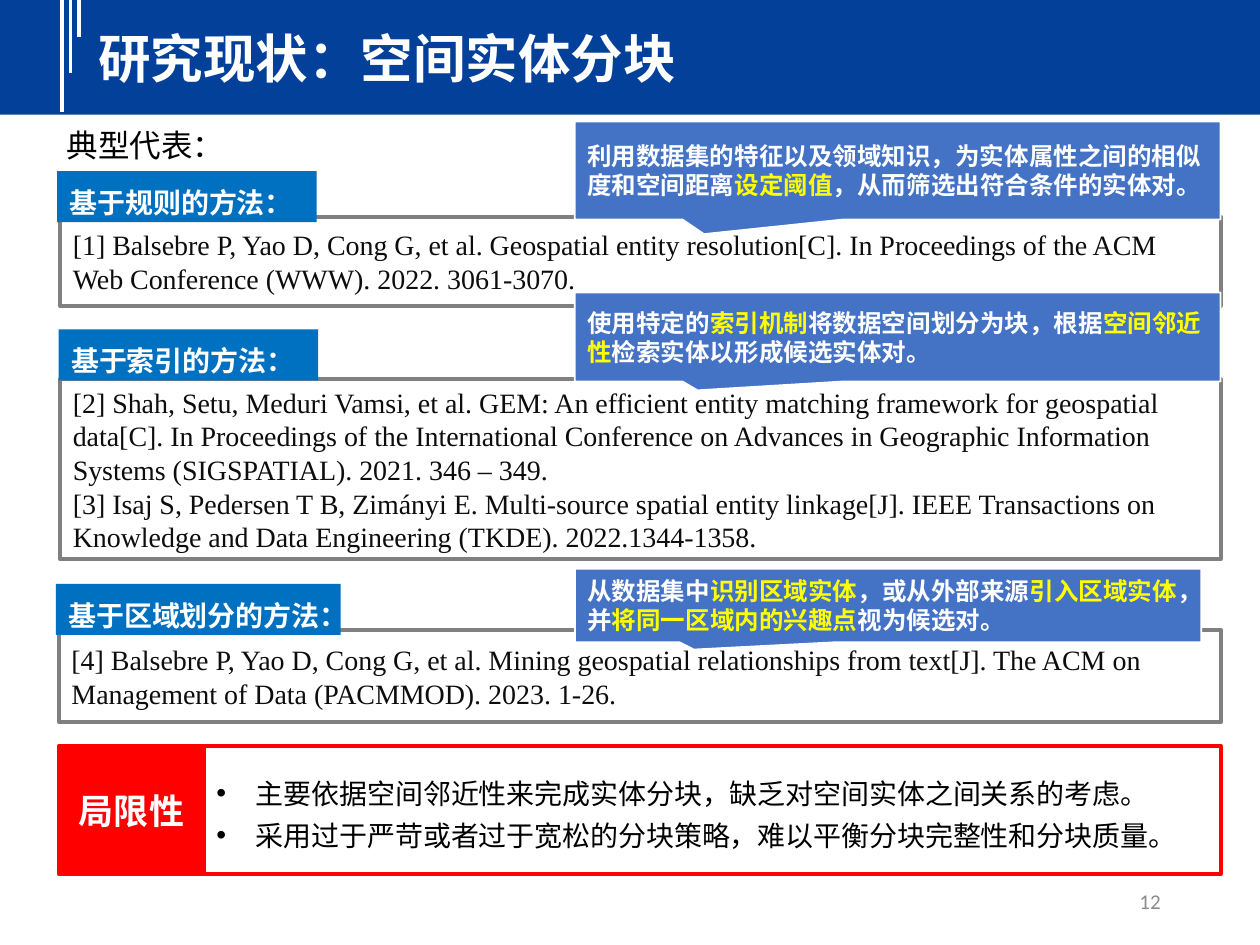
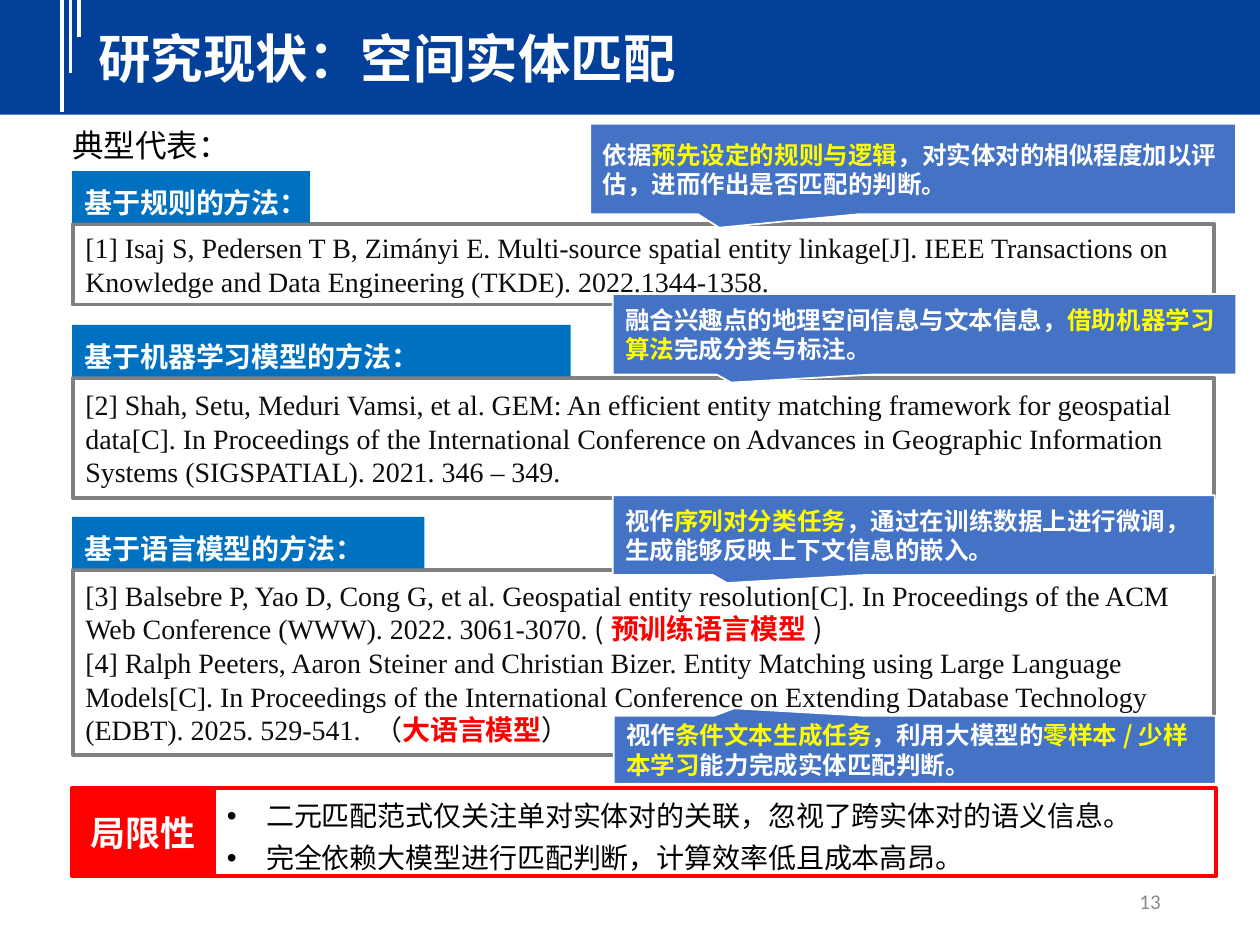
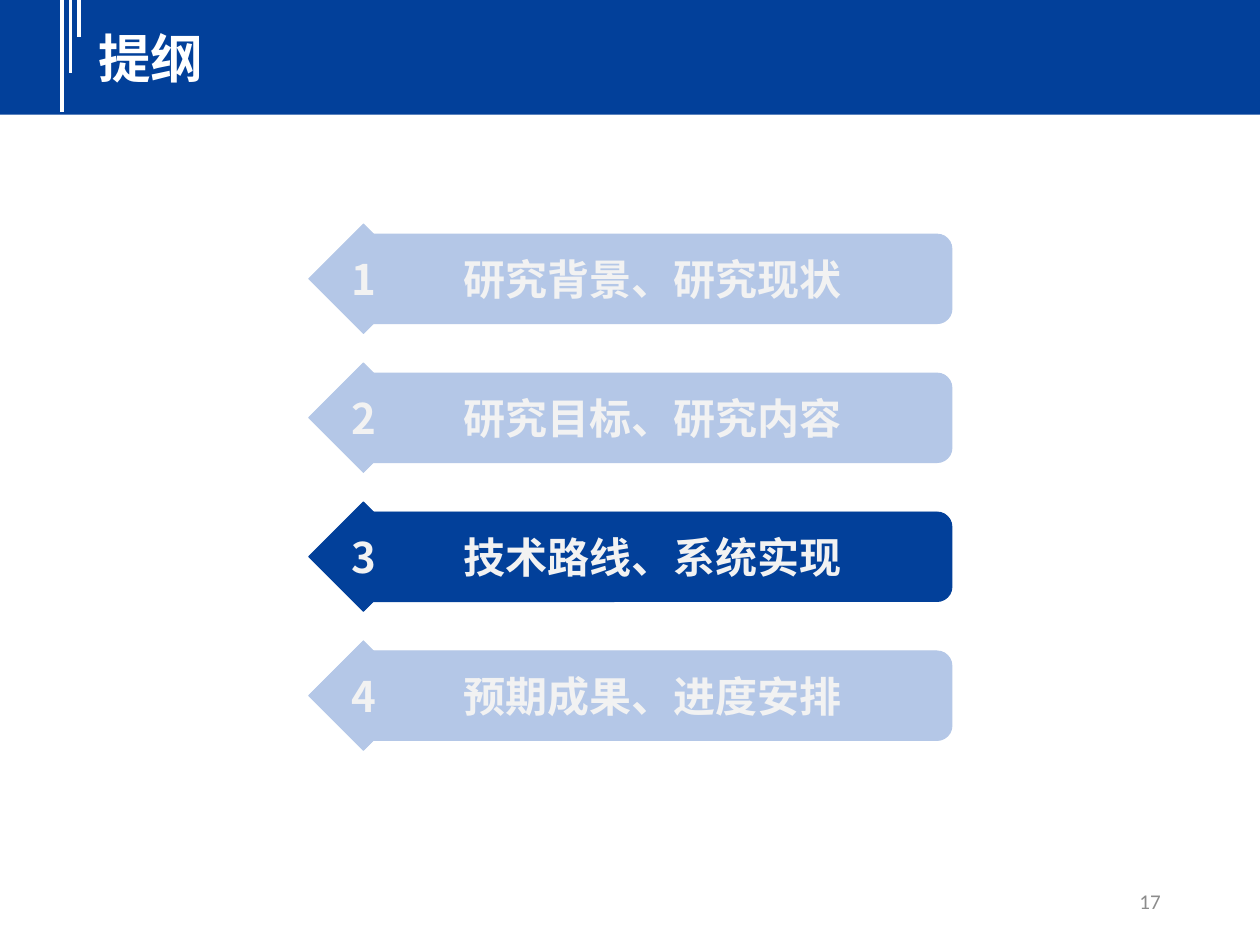
from itertools import cycle

from lxml import etree
from pptx import Presentation
from pptx import util as u
from pptx.dml.color import RGBColor
from pptx.enum import shapes, text
from pptx.oxml import ns

# Theme: colours, fonts and type sizes
THEME = {
    "navy": "02409A", "label": "0070C0", "callout": "4472C4", "pale": "B4C7E7",
    "white": "FFFFFF", "yellow": "FFFF00", "red": "FF0000", "grey": "808080",
    "black": "000000", "ink": "0D0D0D", "soft": "F2F2F2", "number": "8C8C8C",
    "cjk": "Noto Sans CJK SC", "serif": "Times New Roman", "sans": "Calibri",
    "title_size": 30, "outline_size": 24, "badge_size": 20, "lead_size": 18,
    "body_size": 16, "callout_size": 14, "number_size": 12,
}
SHAPE = shapes.MSO_SHAPE
MIDDLE = text.MSO_ANCHOR.MIDDLE
GROW = text.MSO_AUTO_SIZE.SHAPE_TO_FIT_TEXT
CENTER = text.PP_ALIGN.CENTER

# Run formats: font, size, colour, bold
BODY = ("cjk", "body_size", "black", False)
REFERENCE = ("serif", "body_size", "ink", False)
BRACKET = ("cjk", "body_size", "ink", False)
EMPHASIS = ("cjk", "body_size", "red", True)
OUTLINE = ("sans", "outline_size", "soft", True)
OUTLINE_NUMBER = ("cjk", "outline_size", "soft", True)

# Box styles; "|" in a text moves on to the next run format
STYLES = {
    "band": {"kind": SHAPE.RECTANGLE, "fill": "navy"},
    "title": {"runs": [("cjk", "title_size", "white", True)],
              "frame": {"auto_size": GROW}},
    "lead": {"runs": [("cjk", "lead_size", "black", False)],
             "frame": {"auto_size": GROW}},
    "number": {"runs": [("sans", "number_size", "number", False)],
               "frame": {"vertical_anchor": MIDDLE},
               "paragraph": {"alignment": text.PP_ALIGN.RIGHT}},
    "reference": {"kind": SHAPE.RECTANGLE, "line": ("grey", 2.25),
                  "runs": [REFERENCE, BRACKET, EMPHASIS, BRACKET],
                  "frame": {"vertical_anchor": MIDDLE}},
    "label": {"kind": SHAPE.RECTANGLE, "fill": "label",
              "runs": [("cjk", "body_size", "white", True)],
              "frame": {"vertical_anchor": text.MSO_ANCHOR.TOP, "auto_size": GROW},
              "paragraph": {"line_spacing": 1.25}},
    "callout": {"kind": SHAPE.RECTANGULAR_CALLOUT, "fill": "callout",
                "line": ("white", 1),
                "runs": [("cjk", "callout_size", "white", True),
                         ("cjk", "callout_size", "yellow", True)],
                "frame": {"vertical_anchor": MIDDLE}},
    "limits": {"kind": SHAPE.RECTANGLE, "fill": "white", "line": ("red", 2.25),
               "runs": [BODY], "bullet": "•", "frame": {"vertical_anchor": MIDDLE},
               "paragraph": {"line_spacing": 1.25}},
    "badge": {"kind": SHAPE.RECTANGLE, "fill": "red", "line": ("red", 2.25),
              "runs": [("cjk", "badge_size", "white", True)],
              "frame": {"vertical_anchor": MIDDLE},
              "paragraph": {"alignment": CENTER}},
}
for state, colour in (("pending", "pale"), ("current", "navy")):
    for part, kind, run_format in (("bar", SHAPE.ROUNDED_RECTANGLE, OUTLINE),
                                   ("diamond", SHAPE.DIAMOND, OUTLINE_NUMBER)):
        STYLES[f"{state} {part}"] = {
            "kind": kind, "fill": colour, "line": (colour, 0.5), "runs": [run_format],
            "frame": {"vertical_anchor": MIDDLE, "word_wrap": False},
            "paragraph": {"alignment": CENTER}}


def rgb(name):
    return RGBColor.from_string(THEME[name])


def add_box(slide, style_name, bounds, paragraphs=()):
    style = STYLES[style_name]
    bounds = [u.Pt(length) for length in bounds]
    if "kind" in style:
        shape = slide.shapes.add_shape(style["kind"], *bounds)
        shape.shadow.inherit = False
        if "fill" in style:
            shape.fill.solid()
            shape.fill.fore_color.rgb = rgb(style["fill"])
        else:
            shape.fill.background()
        if "line" in style:
            line_colour, width = style["line"]
            shape.line.color.rgb = rgb(line_colour)
            shape.line.width = u.Pt(width)
        else:
            shape.line.fill.background()
    else:
        shape = slide.shapes.add_textbox(*bounds)

    frame = shape.text_frame
    for name, value in {"word_wrap": True, **style.get("frame", {})}.items():
        setattr(frame, name, value)
    for index, content in enumerate(paragraphs):
        paragraph = frame.add_paragraph() if index else frame.paragraphs[0]
        if "bullet" in style:
            properties = paragraph._p.get_or_add_pPr()
            properties.set("marL", str(u.Pt(22.5)))
            properties.set("indent", str(-u.Pt(22.5)))
            etree.SubElement(properties, ns.qn("a:buFont"), typeface="Arial")
            etree.SubElement(properties, ns.qn("a:buChar"), char=style["bullet"])
        formats = {"alignment": text.PP_ALIGN.LEFT, **style.get("paragraph", {})}
        for name, value in formats.items():
            setattr(paragraph, name, value)
        for words, (font, size, colour, bold) in zip(content.split("|"), cycle(style["runs"])):
            run = paragraph.add_run()
            run.text = words
            values = {"name": THEME[font], "size": u.Pt(THEME[size]), "bold": bold}
            for name, value in values.items():
                setattr(run.font, name, value)
            run.font.color.rgb = rgb(colour)
            etree.SubElement(run._r.get_or_add_rPr(), ns.qn("a:ea"), typeface=THEME["cjk"])
    return shape


# Literature shown on the review slides
GEM = ("Shah, Setu, Meduri Vamsi, et al. GEM: An efficient entity matching framework for "
       "geospatial data[C]. In Proceedings of the International Conference on Advances in "
       "Geographic Information Systems (SIGSPATIAL). 2021. 346 – 349.")
LINKAGE = ("Isaj S, Pedersen T B, Zimányi E. Multi-source spatial entity linkage[J]. IEEE "
           "Transactions on Knowledge and Data Engineering (TKDE). 2022.1344-1358.")
RESOLUTION = ("Balsebre P, Yao D, Cong G, et al. Geospatial entity resolution[C]. In "
              "Proceedings of the ACM Web Conference (WWW). 2022. 3061-3070.")
MINING = ("Balsebre P, Yao D, Cong G, et al. Mining geospatial relationships from text[J]. "
          "The ACM on Management of Data (PACMMOD). 2023. 1-26.")
PEETERS = ("Ralph Peeters, Aaron Steiner and Christian Bizer. Entity Matching using Large "
           "Language Models[C]. In Proceedings of the International Conference on Extending "
           "Database Technology (EDBT). 2025. 529-541. ")

# Review slides: boxes as left, top, width, height
REVIEWS = [
    {
        "title": "研究现状：空间实体分块", "number": "12", "lead_left": 31,
        "references": [
            ((34.5, 123.8, 663, 51.2), [f"[1] {RESOLUTION}"]),
            ((34.5, 216.7, 663, 103), [f"[2] {GEM}", f"[3] {LINKAGE}"]),
            ((33.8, 360, 664, 52.8), [f"[4] {MINING}"]),
        ],
        "labels": [
            ((32.7, 97.8, 148.3, 29.2), "基于规则的方法："),
            ((33.6, 188.2, 148.3, 29.2), "基于索引的方法："),
            ((32, 333.6, 162.7, 29.2), "基于区域划分的方法："),
        ],
        "limits_box": (33.8, 426.2, 663.8, 73.4), "badge_width": 82.8,
        "limits": ["主要依据空间邻近性来完成实体分块，缺乏对空间实体之间关系的考虑。",
                   "采用过于严苛或者过于宽松的分块策略，难以平衡分块完整性和分块质量。"],
        "callouts": [
            ((328.5, 69.4, 369, 56), (-0.3, 0.65),
             ["利用数据集的特征以及领域知识，为实体属性之间的相似度和空间距离|设定阈值|"
              "，从而筛选出符合条件的实体对。"]),
            ((328.5, 167.2, 369, 50.8), (-0.31, 0.6),
             ["使用特定的|索引机制|将数据空间划分为块，根据|空间邻近性|检索实体以形成候选实体对。"]),
            ((328.5, 325, 358, 42), (-0.31, 0.6),
             ["从数据集中|识别区域实体|，或从外部来源|引入区域实体|，并|"
              "将同一区域内的兴趣点|视为候选对。"]),
        ],
    },
    {
        "title": "研究现状：空间实体匹配", "number": "13", "lead_left": 34.2,
        "references": [
            ((41.7, 128, 652.3, 46), [f"[1] {LINKAGE}"]),
            ((41.7, 216, 652.3, 68.5), [f"[2] {GEM}"]),
            ((41.7, 325.5, 652.3, 106), [f"[3] {RESOLUTION} |(|预训练语言模型|)",
                                         f"[4] {PEETERS}|（|大语言模型|）"]),
        ],
        "labels": [
            ((41.2, 97.8, 136, 29.4), "基于规则的方法："),
            ((41.2, 185.7, 285, 29.4), "基于机器学习模型的方法："),
            ((41.2, 295.4, 201.4, 29.4), "基于语言模型的方法："),
        ],
        "limits_box": (41, 450.5, 654, 50.2), "badge_width": 81.5,
        "limits": ["二元匹配范式仅关注单对实体对的关联，忽视了跨实体对的语义信息。",
                   "完全依赖大模型进行匹配判断，计算效率低且成本高昂。"],
        "callouts": [
            ((337.3, 70.8, 369, 51.6), (-0.3, 0.65),
             ["依据|预先设定的规则与逻辑|，对实体对的相似程度加以评估，进而作出是否匹配的判断。"]),
            ((350.2, 168, 356.2, 46), (-0.31, 0.6),
             ["融合兴趣点的地理空间信息与文本信息，|借助机器学习算法|完成分类与标注。"]),
            ((350.2, 283, 344, 45.6), (-0.31, 0.6),
             ["视作|序列对分类任务|，通过在训练数据上进行微调，", "生成能够反映上下文信息的嵌入。"]),
            ((350.8, 409, 344, 38.8), (-0.3, -0.61),
             ["视作|条件文本生成任务|，利用大模型的|零样本/少样本学习|能力完成实体匹配判断。"]),
        ],
    },
]
OUTLINE_SLIDE = {"title": "提纲", "number": "17", "current": 3,
                 "topics": ["研究背景、研究现状", "研究目标、研究内容",
                            "技术路线、系统实现", "预期成果、进度安排"]}

presentation = Presentation()
presentation.slide_width, presentation.slide_height = u.Pt(720), u.Pt(540)

for page in [*REVIEWS, OUTLINE_SLIDE]:
    slide = presentation.slides.add_slide(presentation.slide_layouts[6])

    # Title band with three stripes
    add_box(slide, "band", (0, -2, 720, 67.6))
    for x, bottom in ((35.3, 64), (40.3, 41.5), (45.3, 21.3)):
        stripe = slide.shapes.add_connector(
            shapes.MSO_CONNECTOR.STRAIGHT, u.Pt(x), u.Pt(-2), u.Pt(x), u.Pt(bottom))
        stripe.line.color.rgb = rgb("white")
        stripe.line.width = u.Pt(2.25)
        etree.SubElement(stripe._element.spPr, ns.qn("a:effectLst"))
    add_box(slide, "title", (49, 11.6, 656.6, 43.5), [page["title"]])
    add_box(slide, "number", (508.3, 500.5, 162, 28.8), [page["number"]])

    # Outline rows
    if "topics" in page:
        for index, topic in enumerate(page["topics"]):
            state = "current" if index + 1 == page["current"] else "pending"
            top = 128 + 79.4 * index
            add_box(slide, f"{state} bar", (202, top + 5.8, 342, 51.2), [topic])
            add_box(slide, f"{state} diamond", (176.4, top, 62.6, 62.6), [str(index + 1)])
        continue

    # Methods and their references
    add_box(slide, "lead", (page["lead_left"], 68.4, 448, 29), ["典型代表："])
    for bounds, citations in page["references"]:
        add_box(slide, "reference", bounds, citations)
    for bounds, method in page["labels"]:
        add_box(slide, "label", bounds, [method])

    # Limitations panel
    left, top, width, height = page["limits_box"]
    badge_width = page["badge_width"]
    add_box(slide, "limits", (left + badge_width, top, width - badge_width, height),
            page["limits"])
    add_box(slide, "badge", (left, top, badge_width, height), ["局限性"])

    # Callouts explaining each method
    for bounds, pointer, explanation in page["callouts"]:
        callout = add_box(slide, "callout", bounds, explanation)
        for index, offset in enumerate(pointer):
            callout.adjustments[index] = offset

presentation.save("out.pptx")
